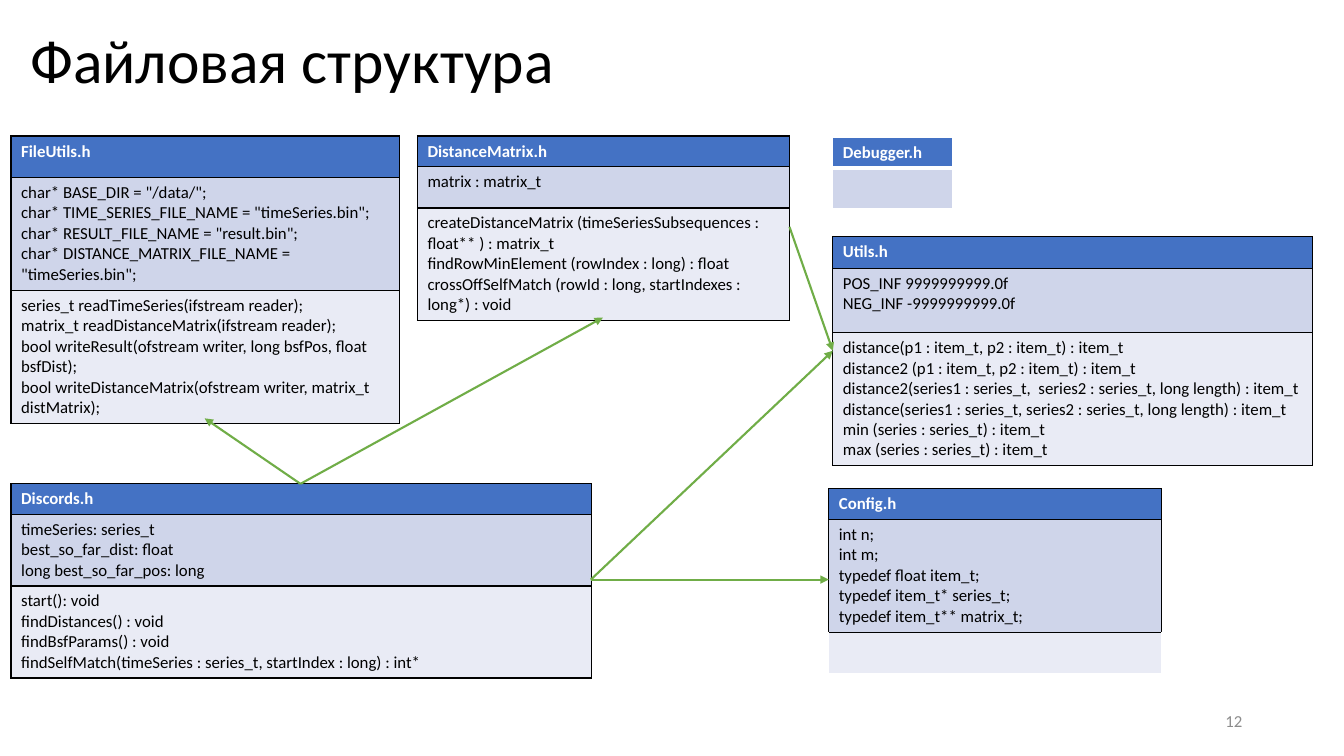
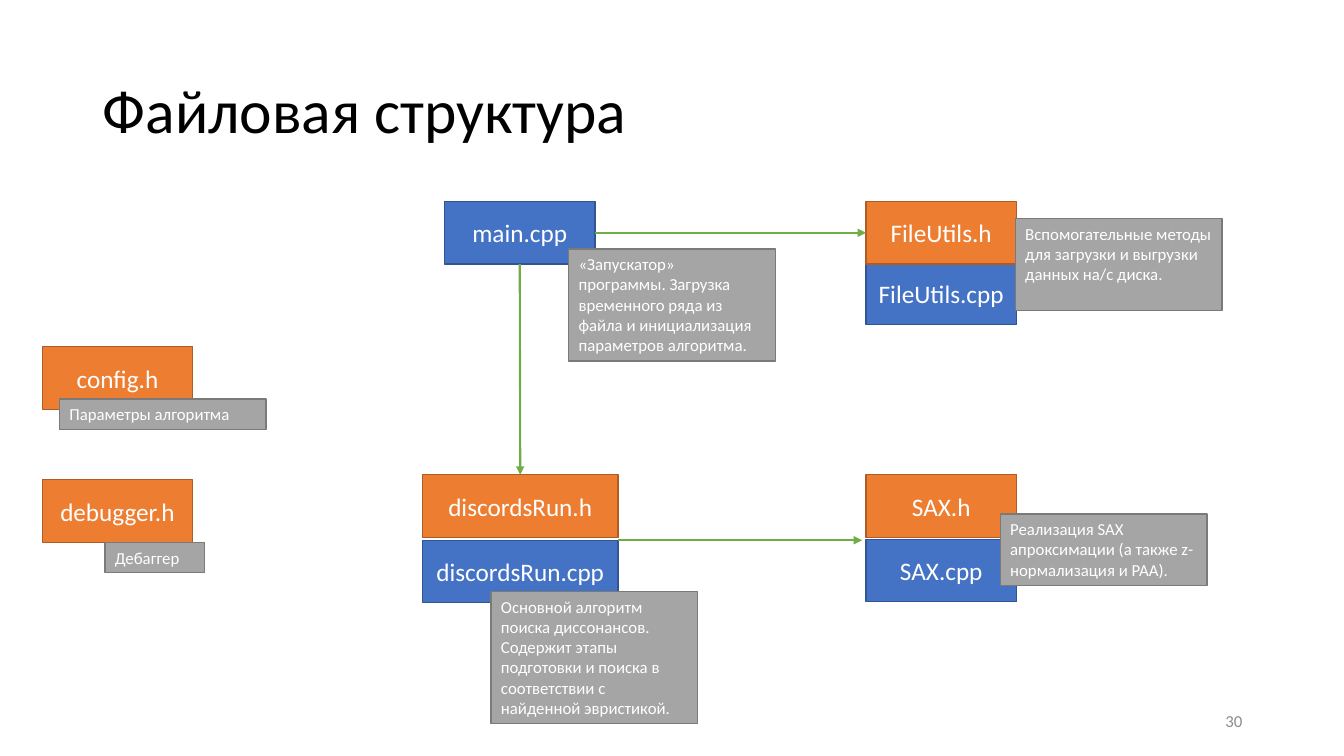
from lxml.etree import SubElement
from pptx import Presentation
from pptx.dml.color import RGBColor
from pptx.enum.shapes import MSO_CONNECTOR as Link, MSO_SHAPE as Preset
from pptx.enum.text import MSO_ANCHOR as Anchor, MSO_AUTO_SIZE as Fit, PP_ALIGN as Align
from pptx.oxml import parse_xml
from pptx.oxml.ns import nsdecls, qn
from pptx.util import Emu, Pt

PX = 9144
TOP, LEFT, BOTTOM, RIGHT = range(4)


def px(*lengths):
    return [Emu(length * PX) for length in lengths]


def color(code):
    return RGBColor.from_string(code)


def assign(target, values):
    for name, value in values.items():
        setattr(target, name, value)


class Deck:
    """Holds the shared style and the slide being filled."""

    FONT = "Calibri"
    BLACK, WHITE, GREY, GREEN = "000000", "FFFFFF", "8C8C8C", "70AD47"
    ROW_FILLS = ("4472C4", "CFD5EA", "E9EBF5")
    HEADER, SOURCE, NOTE = ("ED7D31", "AF5C24"), ("4472C4", "325491"), ("A5A5A5", "7A7A7A")

    def __init__(self):
        self.show = Presentation()
        assign(self.show, dict(zip(("slide_width", "slide_height"), px(1333, 750))))

    def slide(self, title, left, top, number):
        self.page = self.show.slides.add_slide(self.show.slide_layouts[5])
        heading = self.page.shapes.title
        assign(heading, dict(zip(("left", "top", "width", "height"), px(left, top, 1150, 145))))
        self.put_text(heading.text_frame, [title], 44, self.BLACK, line_spacing=0.9)
        footer = self.page.shapes.add_textbox(*px(942, 695, 300, 40))
        self.put_text(footer.text_frame, [str(number)], 12, self.GREY, align=Align.RIGHT)

    def put_text(self, frame, lines, size, ink, anchor=Anchor.MIDDLE, align=Align.LEFT,
                 fit=Fit.NONE, bold=False, line_spacing=1.0):
        assign(frame, {"word_wrap": True, "auto_size": fit, "vertical_anchor": anchor})
        for index, line in enumerate(lines):
            paragraph = frame.add_paragraph() if index else frame.paragraphs[0]
            assign(paragraph, {"alignment": align, "line_spacing": line_spacing})
            run = paragraph.add_run()
            run.text = line
            assign(run.font, {"name": self.FONT, "size": Pt(size), "bold": bold})
            run.font.color.rgb = color(ink)

    def table(self, left, top, width, heights, sections, framed=3):
        frame = self.page.shapes.add_table(len(sections), 1, *px(left, top, width, sum(heights)))
        table = frame.table
        assign(table, {"first_row": False, "horz_banding": False})
        seam = 1 if framed else 3
        for row, (height, lines) in enumerate(zip(heights, sections)):
            table.rows[row].height = px(height)[0]
            cell = table.cell(row, 0)
            cell.fill.solid()
            cell.fill.fore_color.rgb = color(self.ROW_FILLS[row])
            if lines:
                ink = self.BLACK if row else self.WHITE
                self.put_text(cell.text_frame, lines, 12, ink, Anchor.TOP, bold=not row)
            own = self.BLACK if row < framed else self.WHITE
            above = self.BLACK if max(row - 1, 0) < framed else self.WHITE
            last = row == len(sections) - 1
            self.borders(cell, {"L": (own, 1), "R": (own, 1), "T": (above, seam if row else 1),
                                "B": (own, 1 if last else seam)})

    def borders(self, cell, edges):
        properties = cell._tc.get_or_add_tcPr()
        for index, (side, (ink, points)) in enumerate(edges.items()):
            properties.insert(index, parse_xml(
                f'<a:ln{side} {nsdecls("a")} w="{Pt(points)}"><a:solidFill>'
                f'<a:srgbClr val="{ink}"/></a:solidFill></a:ln{side}>'))

    def rectangle(self, left, top, width, height, style):
        shape = self.page.shapes.add_shape(Preset.RECTANGLE, *px(left, top, width, height))
        shape.shadow.inherit = False
        shape.fill.solid()
        shape.fill.fore_color.rgb, shape.line.color.rgb = map(color, style)
        shape.line.width = Pt(1)
        return shape

    def file(self, name, left, top, width=149):
        style = self.HEADER if name.endswith(".h") else self.SOURCE
        shape = self.rectangle(left, top, width, 62, style)
        self.put_text(shape.text_frame, [name], 18, self.WHITE, align=Align.CENTER)
        return shape

    def note(self, text, left, top, height, width=205):
        shape = self.rectangle(left, top, width, height, self.NOTE)
        self.put_text(shape.text_frame, [text], 12, self.WHITE, Anchor.TOP,
                      fit=Fit.SHAPE_TO_FIT_TEXT)

    def arrow(self, start, end):
        line = self.page.shapes.add_connector(Link.STRAIGHT, *px(*start, *end))
        line.line.color.rgb = color(self.GREEN)
        line.line.width = Pt(1.5)
        SubElement(line.line._get_or_add_ln(), qn("a:tailEnd"), type="triangle")
        SubElement(line._element.spPr, qn("a:effectLst"))
        return line

    def link(self, source, source_side, target, target_side):
        line = self.arrow((0, 0), (0, 0))
        line.begin_connect(source, source_side)
        line.end_connect(target, target_side)


def draw_headers(deck):
    deck.slide("Файловая структура", 20, -9, 12)
    deck.table(11, 135, 385, (41, 112, 132), (
        ["FileUtils.h"],
        ['char* BASE_DIR = "/data/";',
         'char* TIME_SERIES_FILE_NAME = "timeSeries.bin";',
         'char* RESULT_FILE_NAME = "result.bin";',
         'char* DISTANCE_MATRIX_FILE_NAME = "timeSeries.bin";'],
        ["series_t readTimeSeries(ifstream reader);",
         "matrix_t readDistanceMatrix(ifstream reader);",
         "bool writeResult(ofstream writer, long bsfPos, float bsfDist);",
         "bool writeDistanceMatrix(ofstream writer, matrix_t distMatrix);"]))
    deck.table(414, 135, 369, (30, 41, 112), (
        ["DistanceMatrix.h"],
        ["matrix : matrix_t"],
        ["createDistanceMatrix (timeSeriesSubsequences : float** ) : matrix_t",
         "findRowMinElement (rowIndex : long) : float",
         "crossOffSelfMatch (rowId : long, startIndexes : long*) : void"]))
    deck.table(11, 480, 576, (30, 71, 91), (
        ["Discords.h"],
        ["timeSeries: series_t", "best_so_far_dist: float", "long best_so_far_pos: long"],
        ["start(): void", "findDistances() : void", "findBsfParams() : void",
         "findSelfMatch(timeSeries : series_t, startIndex : long) : int*"]))
    deck.table(826, 235, 476, (31, 64, 132), (
        ["Utils.h"],
        ["POS_INF 9999999999.0f", "NEG_INF -9999999999.0f"],
        ["distance(p1 : item_t, p2 : item_t) : item_t",
         "distance2 (p1 : item_t, p2 : item_t) : item_t",
         "distance2(series1 : series_t,  series2 : series_t, long length) : item_t",
         "distance(series1 : series_t, series2 : series_t, long length) : item_t",
         "min (series : series_t) : item_t",
         "max (series : series_t) : item_t"]))
    deck.table(822, 485, 330, (30, 112, 41), (
        ["Config.h"],
        ["int n;", "int m;", "typedef float item_t;", "typedef item_t* series_t;",
         "typedef item_t** matrix_t;"],
        []), framed=2)
    deck.table(826, 136, 119, (30, 41), (["Debugger.h"], []), framed=0)
    discords_top, discords_right, utils_left = (298, 480), (586, 575), (826, 348)
    for start, end in ((discords_right, (822, 575)), (discords_top, (598, 315)),
                       (discords_top, (203, 415)), (discords_right, utils_left),
                       ((783, 225), utils_left)):
        deck.arrow(start, end)


def draw_modules(deck):
    deck.slide("Файловая структура", 92, 40, 30)
    deck.file("FileUtils.cpp", 859, 260)
    main_cpp = deck.file("main.cpp", 441, 200)
    deck.file("SAX.cpp", 859, 535)
    file_utils = deck.file("FileUtils.h", 859, 200)
    deck.file("SAX.h", 859, 471)
    deck.file("discordsRun.cpp", 419, 536, 194)
    discords_run = deck.file("discordsRun.h", 419, 471, 194)
    deck.file("debugger.h", 42, 476)
    deck.file("config.h", 42, 344)
    deck.note("«Запускатор» программы. Загрузка временного ряда из файла и инициализация "
              "параметров алгоритма.", 564, 247, 111)
    deck.note("Основной алгоритм поиска диссонансов. Содержит этапы подготовки и поиска "
              "в соответствии с найденной эвристикой.", 487, 587, 131)
    deck.note("Реализация SAX апроксимации (а также z-нормализация и PAA).", 992, 510, 71)
    deck.note("Вспомогательные методы для загрузки и выгрузки данных на/с диска.", 1007, 217, 91)
    deck.note("Параметры алгоритма", 59, 396, 30)
    deck.note("Дебаггер", 104, 538, 30, 99)
    deck.link(main_cpp, BOTTOM, discords_run, TOP)
    deck.link(main_cpp, RIGHT, file_utils, LEFT)
    deck.arrow((613, 536), (855, 536))


def main():
    deck = Deck()
    draw_headers(deck)
    draw_modules(deck)
    deck.show.save("out.pptx")


if __name__ == "__main__":
    main()
